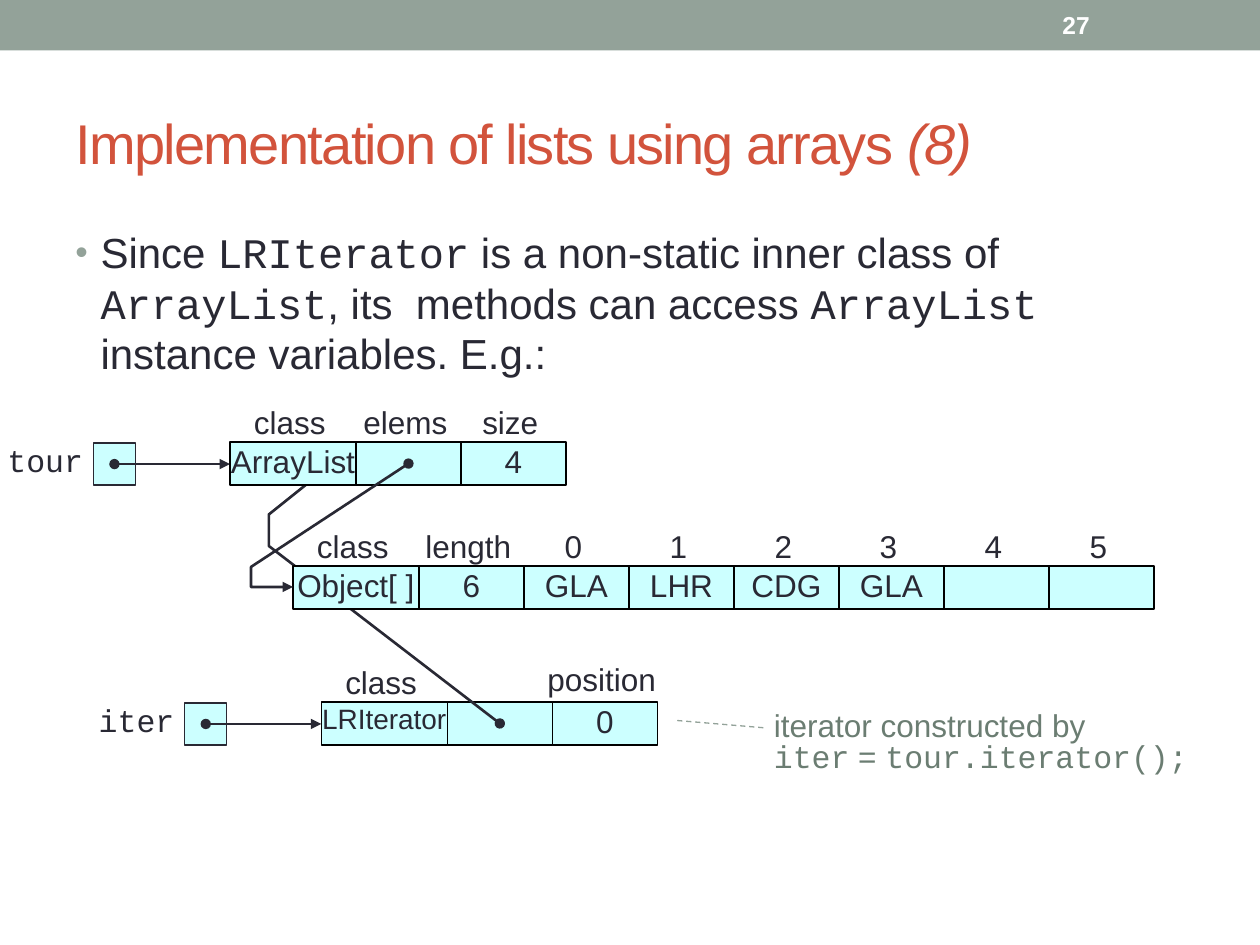
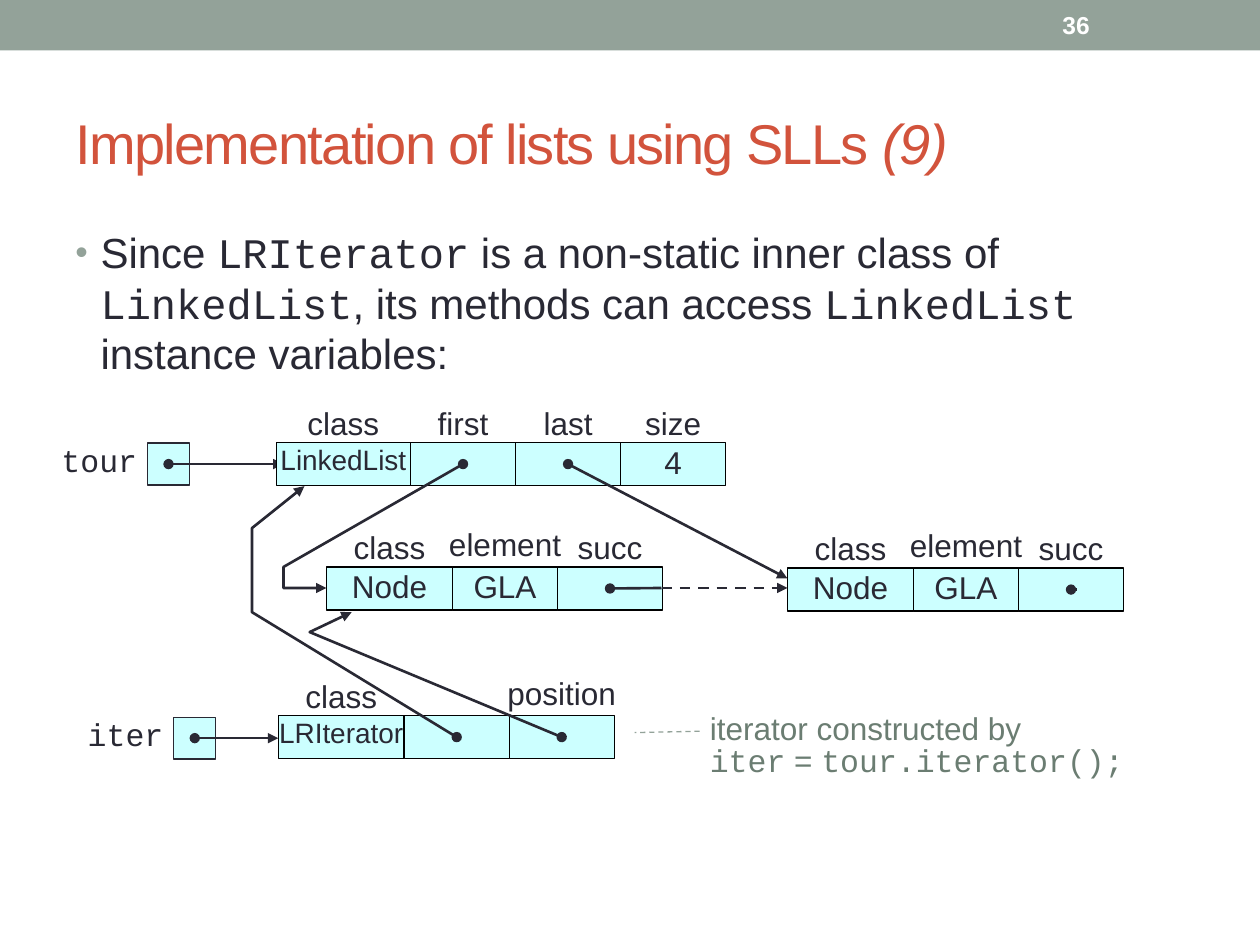
import dataclasses

import lxml.etree
import pptx
import pptx.dml.color
import pptx.enum.dml
import pptx.enum.shapes
import pptx.enum.text
import pptx.oxml.ns
import pptx.util

SHAPE = pptx.enum.shapes.MSO_SHAPE
ALIGN = pptx.enum.text.PP_ALIGN
ANCHOR = pptx.enum.text.MSO_ANCHOR
DASH = pptx.enum.dml.MSO_LINE.DASH
COLUMNS, ROWS = 120, 90
UNIT = pptx.util.Inches(10) // COLUMNS


@dataclasses.dataclass(frozen=True)
class Theme:
    sans: str = "Arial"
    mono: str = "Courier New"
    ink: str = "292934"
    accent: str = "D2533C"
    sage: str = "93A299"
    comment: str = "6B7D72"
    cell: str = "CCFFFF"
    border: str = "000000"
    white: str = "FFFFFF"
    title_size: int = 32
    body_size: int = 24
    diagram_size: int = 18
    small_size: int = 16
    number_size: int = 14
    thin: float = 0.75
    thick: float = 1.5


@dataclasses.dataclass(frozen=True)
class Box:
    left: float
    top: float
    width: float
    height: float

    def inner(self, left, top, width, height):
        return Box(self.left + left, self.top + top, width, height)

    def point(self, column, row):
        return self.left + column, self.top + row

    def centre(self):
        return self.point(self.width / 2, self.height / 2)

    def emu(self):
        return [round(v * UNIT) for v in (self.left, self.top, self.width, self.height)]


@dataclasses.dataclass(frozen=True)
class Field:
    label: str
    value: str = ""
    width: float = 10
    size: int = 18
    overhang: float = 0


THEME = Theme()
CANVAS = Box(0, 0, COLUMNS, ROWS)
DIAGRAM = CANVAS.inner(0, 39, COLUMNS, 36)
CELL_HEIGHT = 4.1
POSITION = {"label": "position", "overhang": 0.9}
ELEMENT = Field("element", "GLA", overhang=0.9)


def rgb(code):
    return pptx.dml.color.RGBColor.from_string(code)


def sub(parent, tag, **attributes):
    return lxml.etree.SubElement(parent, pptx.oxml.ns.qn(tag), attributes)


def add_run(paragraph, text, size, color=THEME.ink, font=THEME.sans):
    run = paragraph.add_run()
    run.text = text
    run.font.size = pptx.util.Pt(size)
    run.font.name = font
    run.font.color.rgb = rgb(color)
    return run


def set_line(line, color, weight, dash=None):
    line.color.rgb = rgb(color)
    line.width = pptx.util.Pt(weight)
    if dash:
        line.dash_style = dash


def set_frame(frame, anchor=ANCHOR.TOP, inset=True, wrap=True):
    frame.word_wrap = wrap
    frame.vertical_anchor = anchor
    if not inset:
        frame.margin_left = frame.margin_right = 0
        frame.margin_top = frame.margin_bottom = 0
    return frame.paragraphs[0]


def rectangle(slide, box, fill, line=None):
    shape = slide.shapes.add_shape(SHAPE.RECTANGLE, *box.emu())
    shape.shadow.inherit = False
    shape.fill.solid()
    shape.fill.fore_color.rgb = rgb(fill)
    if line:
        set_line(shape.line, line, THEME.thin)
    else:
        shape.line.fill.background()
    return shape


def caption(slide, box, text, align, font=THEME.sans, spacing=None):
    paragraph = set_frame(slide.shapes.add_textbox(*box.emu()).text_frame, inset=False)
    paragraph.alignment = align
    paragraph.line_spacing = spacing
    add_run(paragraph, text, THEME.diagram_size, font=font)


def route(slide, points, head="oval", tail="triangle", dash=None):
    places = [(round(x * UNIT), round(y * UNIT)) for x, y in points]
    if len(places) == 2:
        link = slide.shapes.add_connector(
            pptx.enum.shapes.MSO_CONNECTOR.STRAIGHT, *places[0], *places[1])
    else:
        outline = slide.shapes.build_freeform(*places[0], scale=1.0)
        outline.add_line_segments(places[1:], close=False)
        link = outline.convert_to_shape()
        link.fill.background()
    set_line(link.line, THEME.ink, THEME.thick, dash)
    properties = link._element.spPr
    stroke = properties.find(pptx.oxml.ns.qn("a:ln"))
    for tag, kind in (("a:headEnd", head), ("a:tailEnd", tail)):
        if kind:
            sub(stroke, tag, type=kind)
    sub(properties, "a:effectLst")


def record(slide, region, column, row, fields, trim=0):
    cells = []
    for field in fields:
        cell = region.inner(column, row, field.width, CELL_HEIGHT)
        shape = rectangle(slide, cell, THEME.cell, THEME.border)
        if field.value:
            paragraph = set_frame(shape.text_frame, inset=False, wrap=False)
            paragraph.alignment = ALIGN.CENTER
            add_run(paragraph, field.value, field.size)
        if field.label:
            lift = 0.3 if field.overhang else 0
            label = cell.inner(-field.overhang, -3.1 - lift,
                               field.width - trim + 2 * field.overhang, 2.8)
            caption(slide, label, field.label, ALIGN.CENTER,
                    spacing=pptx.util.Pt(THEME.diagram_size))
        cells.append(cell)
        column += field.width
    return cells


def variable(slide, region, column, row, name, target):
    slot = region.inner(column, row, 4, 4)
    rectangle(slide, slot, THEME.cell, THEME.ink)
    caption(slide, slot.inner(-9, -0.2, 8, 4), name, ALIGN.RIGHT, THEME.mono)
    route(slide, [slot.centre(), region.point(target, row + 2)])


def iterator_note(slide, box, leader):
    note = slide.shapes.add_shape(SHAPE.LINE_CALLOUT_1_NO_BORDER, *box.emu())
    note.shadow.inherit = False
    note.fill.background()
    set_line(note.line, THEME.sage, THEME.thin, DASH)
    for index, share in enumerate(leader):
        note.adjustments[index] = share
    opening = set_frame(note.text_frame, inset=False)
    statement = note.text_frame.add_paragraph()
    for paragraph in (opening, statement):
        paragraph.alignment = ALIGN.LEFT
        paragraph.line_spacing = pptx.util.Pt(THEME.diagram_size)
    add_run(opening, "iterator constructed by", THEME.diagram_size, THEME.comment)
    for text, font in (("iter", THEME.mono), (" = ", THEME.sans),
                       ("tour.iterator();", THEME.mono)):
        add_run(statement, text, THEME.diagram_size, THEME.comment, font)


def heading(slide, box, topic, part):
    title = slide.shapes.title
    title.left, title.top, title.width, title.height = box.emu()
    title.text_frame.auto_size = pptx.enum.text.MSO_AUTO_SIZE.NONE
    paragraph = set_frame(title.text_frame, ANCHOR.MIDDLE)
    paragraph.alignment = ALIGN.LEFT
    runs = [add_run(paragraph, text, THEME.title_size, THEME.accent)
            for text in (topic + " ", part)]
    runs[1].font.italic = True
    for run in runs:
        run.font._element.set("spc", "-100")


def statement(slide, box, class_name, joint, ending):
    paragraph = set_frame(slide.shapes.add_textbox(*box.emu()).text_frame)
    paragraph.space_before = pptx.util.Pt(THEME.body_size * 0.2)
    properties = paragraph._p.get_or_add_pPr()
    indent = pptx.util.Inches(0.2)
    properties.set("marL", str(indent))
    properties.set("indent", str(-indent))
    sub(sub(properties, "a:buClr"), "a:srgbClr", val=THEME.sage)
    sub(properties, "a:buSzPct", val="85000")
    sub(properties, "a:buFont", typeface=THEME.sans)
    sub(properties, "a:buChar", char="•")
    texts = ("Since ", "LRIterator", " is a non-static inner class of ",
             class_name, joint, class_name, ending)
    for index, text in enumerate(texts):
        add_run(paragraph, text, THEME.body_size,
                font=THEME.mono if index % 2 else THEME.sans)


def base_slide(deck, number, topic, part):
    slide = deck.slides.add_slide(deck.slide_layouts[5])
    rectangle(slide, CANVAS.inner(0, 0, COLUMNS, 4.8), THEME.sage)
    heading(slide, CANVAS.inner(6, 7, 108, 13), topic, part)
    page = slide.shapes.add_textbox(*CANVAS.inner(100, 0.2, 14, 4.3).emu())
    paragraph = set_frame(page.text_frame, ANCHOR.MIDDLE)
    add_run(paragraph, number, THEME.number_size, THEME.white).font.bold = True
    return slide


def array_diagram(slide, region):
    trim = 0.6
    variable(slide, region, 17.6, 27.95, "iter", 30.6)
    iterator = record(slide, region, 30.6, 27.85, [
        Field("class", "LRIterator", 12, THEME.small_size), Field(""),
        Field(value="0", **POSITION)], trim)
    route(slide, [iterator[1].centre(), region.point(25.6, 13),
                  region.point(25.6, 10), region.point(30.6, 6)])
    iterator_note(slide, region.inner(73.7, 28.8, 40.2, 7),
                  (0.216, -0.025, 0.114, -0.238))
    airports = ("GLA", "LHR", "CDG", "GLA", "", "")
    record(slide, region, 27.9, 14.9,
           [Field("class", "Object[ ]", 12), Field("length", "6")]
           + [Field(str(i), code) for i, code in enumerate(airports)], trim)
    variable(slide, region, 8.9, 3.2, "tour", 21.9)
    array_list = record(slide, region, 21.9, 3.1, [
        Field("class", "ArrayList", 12), Field("elems"), Field("size", "4")], trim)
    route(slide, [array_list[1].centre(), region.point(23.9, 15),
                  region.point(23.9, 16.9), region.point(27.9, 16.9)])


def linked_diagram(slide, region):
    iterator_note(slide, region.inner(67.6, 29.15, 40.9, 6),
                  (0.25, -0.024, 0.271, -0.175))
    variable(slide, region, 16.55, 29.3, "iter", 26.5)
    iterator = record(slide, region, 26.5, 29.15, [
        Field("class", "LRIterator", 12, THEME.small_size), Field(""),
        Field(**POSITION)])
    route(slide, [iterator[1].centre(), region.point(24, 19.3),
                  region.point(24, 11.3), region.point(29, 7.3)])
    route(slide, [iterator[2].centre(), region.point(29.5, 21.2),
                  region.point(33.5, 19.3)])
    variable(slide, region, 14.05, 3.2, "tour", 27)
    linked_list = record(slide, region, 26.3, 3.15, [
        Field("class", "LinkedList", 12.8, THEME.small_size),
        Field("first"), Field("last"), Field("size", "4")])
    node = [Field("class", "Node", 12), ELEMENT, Field("succ")]
    first_node = record(slide, region, 31.1, 15, node)
    last_node = record(slide, region, 75, 15.1, node)
    gap_start, gap_end = region.point(63, 17), region.point(75, 17)
    route(slide, [first_node[2].centre(), gap_start], tail=None)
    route(slide, [gap_start, gap_end], head=None, dash=DASH)
    route(slide, [linked_list[1].centre(), region.point(27, 15),
                  region.point(27, 17), region.point(31.1, 17)])
    route(slide, [linked_list[2].centre(), region.point(75, 16.1)])
    column, row = last_node[2].centre()
    route(slide, [(column, row), (column + 0.5, row)], tail=None)


deck = pptx.Presentation()
deck.slide_width, deck.slide_height = COLUMNS * UNIT, ROWS * UNIT
BODY = CANVAS.inner(6, 21, 108, 64)

arrays = base_slide(deck, "27", "Implementation of lists using arrays", "(8)")
statement(arrays, BODY, "ArrayList", ", its  methods can access ",
          " instance variables. E.g.:")
array_diagram(arrays, DIAGRAM)

links = base_slide(deck, "36", "Implementation of lists using SLLs", "(9)")
statement(links, BODY, "LinkedList", ", its methods can access ",
          " instance variables:")
linked_diagram(links, DIAGRAM)

deck.save("out.pptx")
